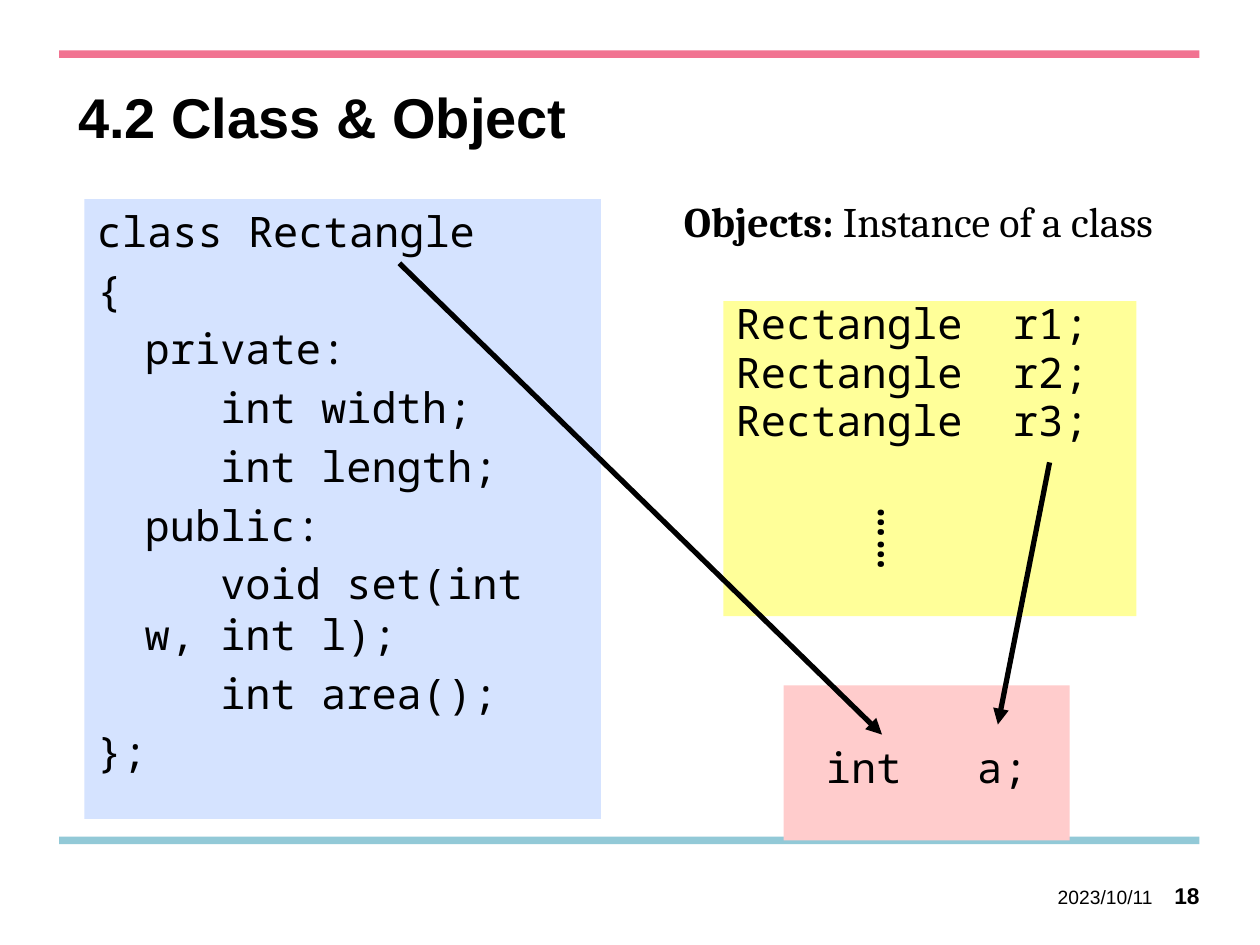
from lxml import etree
from pptx import Presentation
from pptx.dml.color import RGBColor
from pptx.enum import shapes, text
from pptx.oxml import ns
from pptx.util import Inches, Pt

CODE_FONT = "Noto Sans Mono"
BLACK = "000000"
HANG = 0.38
STEP = 0.6
CLASS_LINES = [
    ("class Rectangle", -HANG),
    ("{", -HANG),
    ("private:", 0),
    ("int width;", STEP),
    ("int length;", STEP),
    ("public:", 0),
    ("void set(int w, int l);", STEP),
    ("int area();", STEP),
    ("};", -HANG),
]
OBJECT_LINES = [(f"Rectangle  r{number};", -HANG) for number in (1, 2, 3)]


def colour(value):
    return RGBColor.from_string(value)


def style_run(run, font, size, bold=False):
    run.font.name = font
    run.font.size = Pt(size)
    run.font.bold = bold
    run.font.color.rgb = colour(BLACK)
    properties = run._r.get_or_add_rPr()
    east_asian = etree.SubElement(properties, ns.qn("a:ea"))
    east_asian.set("typeface", font)


def add_panel(slide, box, fill):
    panel = slide.shapes.add_shape(
        shapes.MSO_SHAPE.RECTANGLE, *(Inches(length) for length in box))
    panel.shadow.inherit = False
    panel.fill.solid()
    panel.fill.fore_color.rgb = colour(fill)
    panel.line.fill.background()
    return panel


def add_code(slide, box, fill, lines, spacing=1.0, top=0.05,
             align=text.PP_ALIGN.LEFT):
    frame = add_panel(slide, box, fill).text_frame
    frame.word_wrap = True
    frame.vertical_anchor = text.MSO_ANCHOR.TOP
    frame.margin_top = Inches(top)
    frame.text = "\n".join(line for line, _ in lines)
    for paragraph, (_, indent) in zip(frame.paragraphs, lines):
        paragraph.alignment = align
        paragraph.line_spacing = spacing
        paragraph.space_before = Pt(4.8)
        properties = paragraph._p.get_or_add_pPr()
        properties.set("marL", str(Inches(HANG)))
        properties.set("indent", str(Inches(indent)))
        style_run(paragraph.runs[0], CODE_FONT, 24)


def add_label(slide, box, pieces, font, size, align=text.PP_ALIGN.LEFT):
    label = slide.shapes.add_textbox(*(Inches(length) for length in box))
    frame = label.text_frame
    frame.word_wrap = True
    paragraph = frame.paragraphs[0]
    paragraph.alignment = align
    for wording, bold in pieces:
        run = paragraph.add_run()
        run.text = wording
        style_run(run, font, size, bold)
    return frame


def add_footer(slide, box, wording, size, bold, top, anchor):
    frame = add_label(slide, box, [(wording, bold)], "Arial", size,
                      text.PP_ALIGN.RIGHT)
    frame.margin_left = frame.margin_right = frame.margin_bottom = 0
    frame.margin_top = Inches(top)
    frame.vertical_anchor = anchor


def add_arrow(slide, start, end):
    arrow = slide.shapes.add_connector(
        shapes.MSO_CONNECTOR.STRAIGHT,
        *(Inches(length) for length in start + end))
    arrow.line.color.rgb = colour(BLACK)
    arrow.line.width = Pt(3)
    head = etree.SubElement(arrow.line._get_or_add_ln(), ns.qn("a:tailEnd"))
    head.set("type", "triangle")
    etree.SubElement(arrow._element.spPr, ns.qn("a:effectLst"))


def set_title(slide, wording):
    title = slide.shapes.title
    title.left, title.top = Inches(0.52), Inches(0.67)
    title.width, title.height = Inches(8.74), Inches(0.75)
    frame = title.text_frame
    frame.text = wording
    frame.vertical_anchor = text.MSO_ANCHOR.TOP
    paragraph = frame.paragraphs[0]
    paragraph.alignment = text.PP_ALIGN.LEFT
    paragraph.line_spacing = Pt(34)
    style_run(paragraph.runs[0], "Arial", 32, True)


def main():
    deck = Presentation()
    deck.slide_width, deck.slide_height = Inches(10), Inches(7.5)
    slide = deck.slides.add_slide(deck.slide_layouts[5])
    set_title(slide, "4.2 Class & Object")

    for top, fill in ((6.64, "92C9D7"), (0.4, "F17391")):
        add_panel(slide, (0.47, top, 9.05, 0.06), fill)

    add_code(slide, (0.67, 1.58, 4.1, 4.92), "D5E3FF", CLASS_LINES)
    add_code(slide, (5.74, 2.39, 3.28, 2.5), "FFFF99", OBJECT_LINES, 0.8)
    ellipsis = add_label(slide, (6.75, 3.92, 0.6, 0.92), [("……", True)],
                         "Cambria", 24)
    ellipsis._txBody.bodyPr.set("vert", "eaVert")
    add_code(slide, (6.22, 5.44, 2.27, 1.23), "FFCCCC",
             [("int   a;", -HANG)], 0.8, 0.52, text.PP_ALIGN.CENTER)

    add_arrow(slide, (3.17, 2.09), (7, 5.83))
    add_arrow(slide, (8.33, 3.67), (7.92, 5.75))

    add_label(slide, (5.33, 1.5, 4.42, 0.5),
              [("Objects:", True), (" Instance of a class", False)],
              "Cambria", 24)
    add_footer(slide, (8.19, 6.98, 0.96, 0.27), "2023/10/11", 11, False, 0,
               text.MSO_ANCHOR.MIDDLE)
    add_footer(slide, (9.13, 6.98, 0.39, 0.27), "18", 13, True, 0.02,
               text.MSO_ANCHOR.TOP)
    deck.save("out.pptx")


if __name__ == "__main__":
    main()
